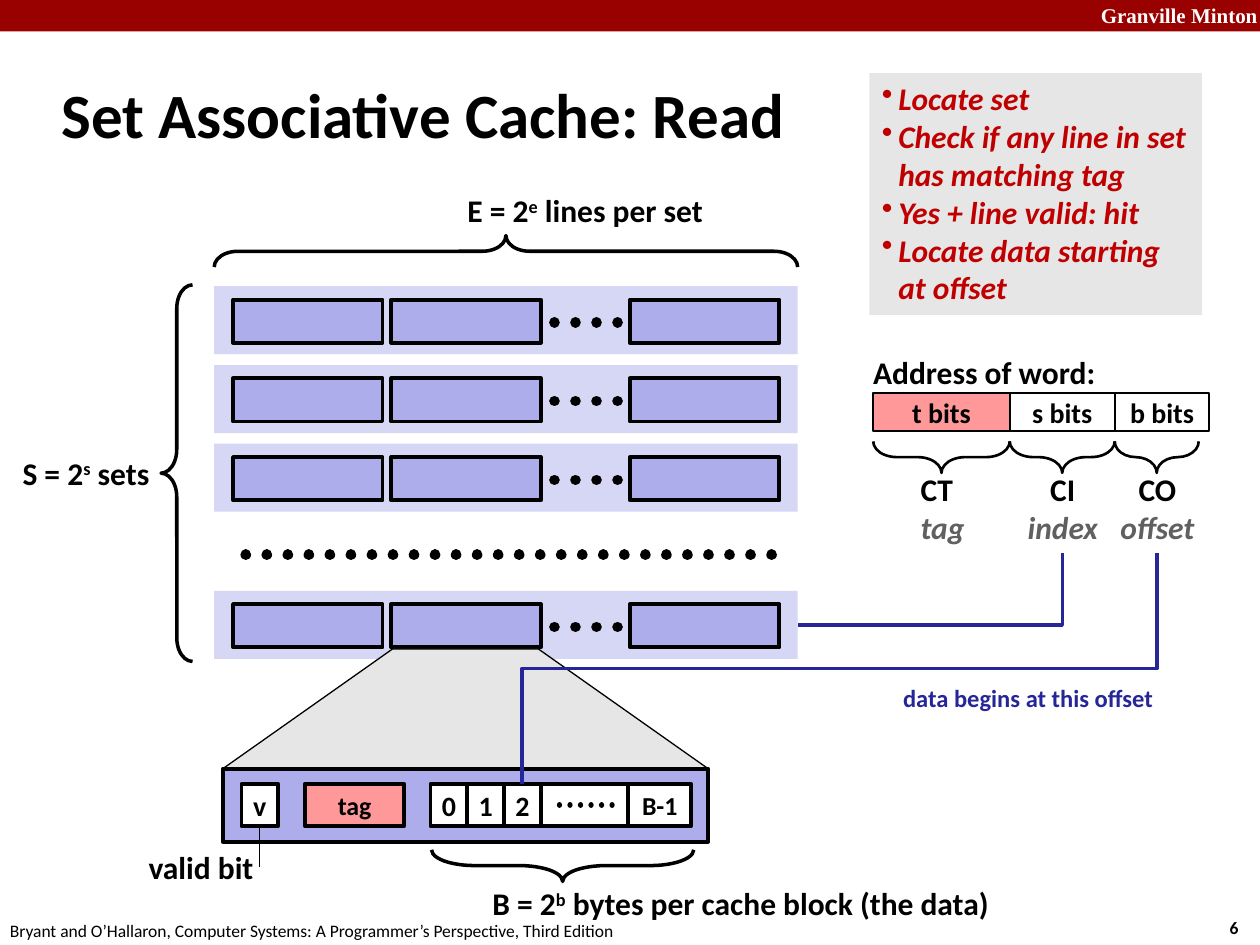
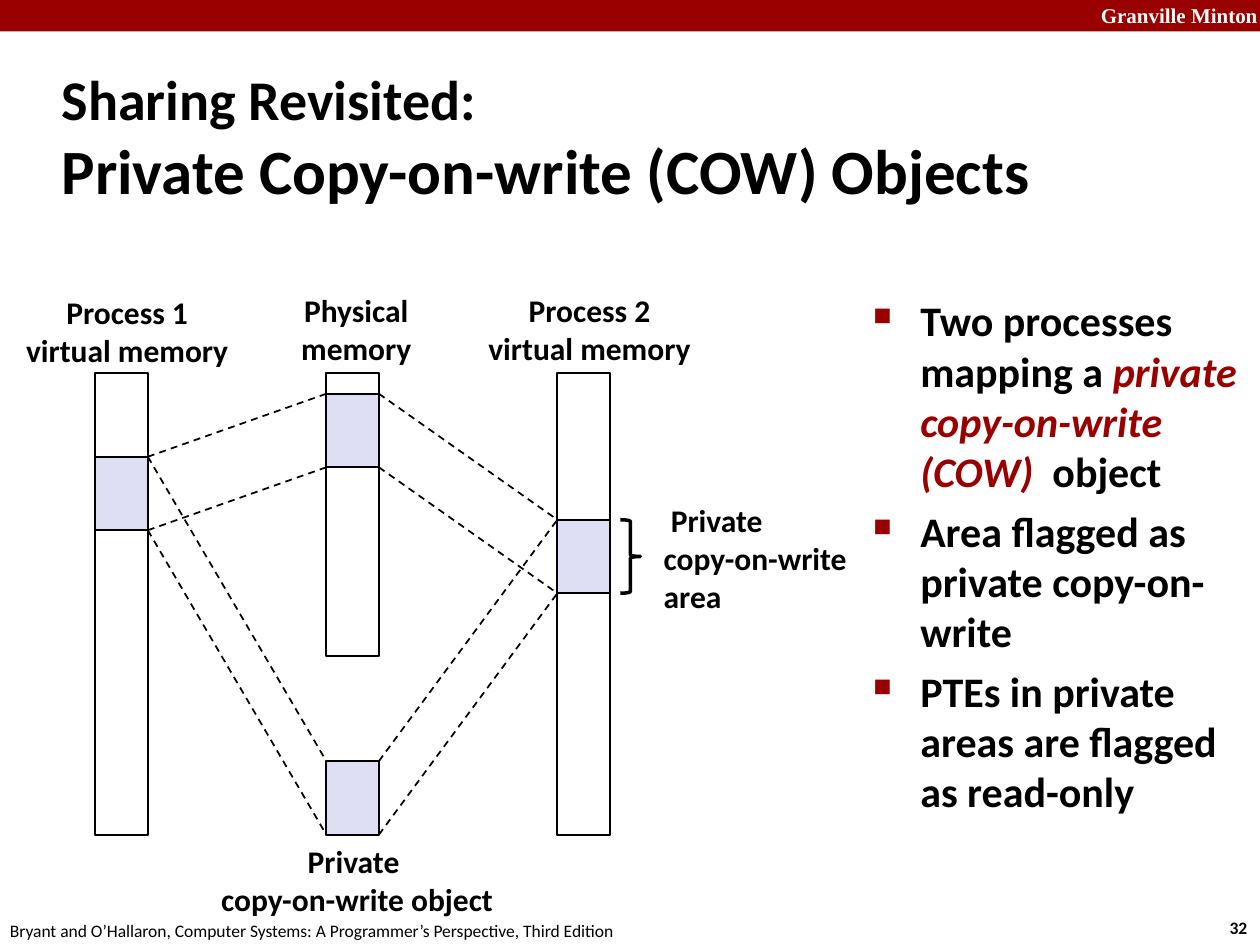
from copy import deepcopy

from lxml import etree
from pptx import Presentation
from pptx import util as u
from pptx.dml.color import RGBColor
from pptx.enum import dml, shapes, text
from pptx.oxml.ns import qn

Pt = u.Pt
SHAPE = shapes.MSO_SHAPE
ALIGN = text.PP_ALIGN
ANCHOR = text.MSO_ANCHOR
DASH = dml.MSO_LINE

# Colours
BLACK = RGBColor(0, 0, 0)
WHITE = RGBColor(0xFF, 0xFF, 0xFF)
BAND_RED = RGBColor(0x99, 0x00, 0x00)
NOTE_RED = RGBColor(0xC0, 0x00, 0x00)
TAG_PINK = RGBColor(0xFF, 0x99, 0x99)
SET_LILAC = RGBColor(0xD6, 0xD6, 0xF5)
LINE_LILAC = RGBColor(0xAD, 0xAD, 0xEB)
AREA_LILAC = RGBColor(0xDE, 0xDF, 0xF5)
PALE_GREY = RGBColor(0xE6, 0xE6, 0xE6)
DARK_GREY = RGBColor(0x60, 0x60, 0x60)
LINK_BLUE = RGBColor(0x26, 0x26, 0x99)

BASE_FONT = dict(name="Calibri", size=18, bold=True, color=BLACK)
CELL_FONT = dict(size=16)
SMALL_CELL_FONT = dict(size=14.8)
FIELD_FONT = dict(color=DARK_GREY, italic=True)
SUPER = dict(baseline="30000")
FOOTER = ("Bryant and O’Hallaron, Computer Systems: "
          "A Programmer’s Perspective, Third Edition")


# Text
def format_run(r, fmt):
    for key, value in {**BASE_FONT, **fmt}.items():
        if key == "color":
            r.font.color.rgb = value
        elif key == "baseline":
            r._r.get_or_add_rPr().set(key, value)
        else:
            setattr(r.font, key, Pt(value) if key == "size" else value)


def add_runs(p, runs, fmt):
    """Runs are strings or (string, format) pairs; a newline breaks the line."""
    for run in [runs] if isinstance(runs, str) else runs:
        words, extra = (run, {}) if isinstance(run, str) else run
        for i, line in enumerate(words.split("\n")):
            if i:
                p.add_line_break()
                p._p[-1].append(deepcopy(r._r.rPr))
            if line:
                r = p.add_run()
                r.text = line
                format_run(r, {**fmt, **extra})


def add_bullet(p, char, indent, color=None, percent=None):
    pPr = p._p.get_or_add_pPr()
    pPr.set("marL", str(Pt(indent)))
    pPr.set("indent", str(-Pt(indent)))
    if color:
        clr = etree.SubElement(pPr, qn("a:buClr"))
        etree.SubElement(clr, qn("a:srgbClr")).set("val", str(color))
    if percent:
        etree.SubElement(pPr, qn("a:buSzPct")).set("val", str(percent * 1000))
    etree.SubElement(pPr, qn("a:buChar")).set("char", char)


def fill_text(tf, paras, align=ALIGN.LEFT, anchor=ANCHOR.TOP, wrap=False,
              bullet=None, before=0, **fmt):
    frame = dict(word_wrap=wrap, vertical_anchor=anchor,
                 auto_size=text.MSO_AUTO_SIZE.NONE)
    for key, value in frame.items():
        setattr(tf, key, value)
    for i, runs in enumerate(paras):
        p = tf.add_paragraph() if i else tf.paragraphs[0]
        p.alignment = align
        p.space_before = Pt(before)
        if bullet:
            add_bullet(p, **bullet)
        add_runs(p, runs, fmt)


def label(s, x, y, w, h, *paras, **fmt):
    tb = s.shapes.add_textbox(Pt(x), Pt(y), Pt(w), Pt(h))
    fill_text(tb.text_frame, paras, **fmt)


# Shapes
def shape(s, kind, x, y, w, h, fill=None, line=0):
    sp = s.shapes.add_shape(kind, Pt(x), Pt(y), Pt(w), Pt(h))
    sp.shadow.inherit = False
    if fill is None:
        sp.fill.background()
    else:
        sp.fill.solid()
        sp.fill.fore_color.rgb = fill
    if line:
        sp.line.color.rgb = BLACK
        sp.line.width = Pt(line)
    else:
        sp.line.fill.background()
    return sp


def box(s, x, y, w, h, fill=None, line=0, words=None, **fmt):
    sp = shape(s, SHAPE.RECTANGLE, x, y, w, h, fill, line)
    if words:
        fill_text(sp.text_frame, [words], align=ALIGN.CENTER,
                  anchor=ANCHOR.MIDDLE, **fmt)
    return sp


def flat_brace(s, x, y, w, rotation, line=2, curl=0.75, depth=18):
    """A brace lying over or under a span: 90 points up, 270 points down."""
    sp = shape(s, SHAPE.LEFT_BRACE, x + (w - depth) / 2, y + (depth - w) / 2,
               depth, w, line=line)
    sp.rotation = rotation
    sp.adjustments[0] = curl


# Lines
def format_line(c, width, color, dash):
    c.line.color.rgb = color
    c.line.width = Pt(width)
    if dash:
        c.line.dash_style = dash
    if dash == DASH.ROUND_DOT:
        c._element.spPr.find(qn("a:ln")).set("cap", "rnd")
    etree.SubElement(c._element.spPr, qn("a:effectLst"))


def line(s, x1, y1, x2, y2, width=1, color=BLACK, dash=None):
    c = s.shapes.add_connector(shapes.MSO_CONNECTOR.STRAIGHT,
                               Pt(x1), Pt(y1), Pt(x2), Pt(y2))
    format_line(c, width, color, dash)
    return c


def dots(s, x1, x2, y, width=6):
    line(s, x1, y, x2, y, width, dash=DASH.ROUND_DOT)


def elbow_down_left(s, x1, y1, x2, y2, preset):
    """A bent connector that leaves downwards: a quarter-turned box."""
    w, h = y2 - y1, x1 - x2
    left, top = (x1 + x2 - w) / 2, (y1 + y2 - h) / 2
    c = s.shapes.add_connector(shapes.MSO_CONNECTOR.ELBOW, Pt(left), Pt(top),
                               Pt(left + w), Pt(top + h))
    spPr = c._element.spPr
    spPr.find(qn("a:xfrm")).set("rot", "5400000")
    spPr.find(qn("a:prstGeom")).set("prst", preset)
    format_line(c, 2, LINK_BLUE, None)


# Shared frame: band, footer, number, title
def new_slide(prs, number, title, title_height):
    s = prs.slides.add_slide(prs.slide_layouts[5])
    box(s, 0, 0, 720, 18, BAND_RED)
    label(s, 622, -2, 103, 21.6, "Granville Minton", name="Times New Roman",
          size=12, color=WHITE)
    label(s, 695.5, 520.6, 27, 19.4, number, size=10)
    label(s, -1.4, 522, 366, 19.4, FOOTER, size=10, bold=False)
    sp = s.shapes.title
    place = dict(left=28, top=34.6, width=597.6, height=title_height)
    for key, value in place.items():
        setattr(sp, key, Pt(value))
    fill_text(sp.text_frame, [title], anchor=ANCHOR.MIDDLE, wrap=True, size=36)
    return s


# Slide: set associative cache
def draw_sets(s):
    flat_brace(s, 122.4, 134.6, 333.4, 90)
    label(s, 260, 105.8, 154, 28.8,
          ["E = 2", ("e", SUPER), " lines per set"])
    sets_brace = shape(s, SHAPE.LEFT_BRACE, 92, 162.8, 18, 215.2, line=2)
    sets_brace.adjustments[0] = 0.75
    label(s, 5.8, 255.8, 88.6, 28.8, ["S = 2", ("s", SUPER), " sets"])
    for y in (163.6, 208.6, 253.6, 337.6):
        box(s, 122.4, y, 333.4, 38.9, SET_LILAC)
        for x in (133.2, 223.6, 360):
            box(s, x, y + 7.6, 85.4, 24.7, LINE_LILAC, 2.25)
        dots(s, 316.8, 360.7, y + 20.6)
    dots(s, 140.4, 445.7, 317)


def draw_cache_line(s):
    zoom = shape(s, SHAPE.TRAPEZOID, 127.4, 370.8, 277.2, 68.4, PALE_GREY, 0.75)
    zoom.adjustments[0] = 1.418
    box(s, 127.4, 439.2, 277.2, 41.8, LINE_LILAC, 2.25)
    top, height, x = 448, 24, 246
    cells = [(21, "0", CELL_FONT), (21, "1", CELL_FONT), (21, "2", CELL_FONT),
             (50, None, {}), (36, "B-1", SMALL_CELL_FONT)]
    for w, words, fmt in cells:
        box(s, x, top, w, height, WHITE, 2.25, words, **fmt)
        x += w
    dots(s, 319.7, 355.7, 460, 3)
    box(s, 174.2, top, 56.9, height, TAG_PINK, 2.25, "tag", **SMALL_CELL_FONT)
    valid = box(s, 138, top, 21, height, WHITE, 2.25, "v", **CELL_FONT)
    label(s, 77.8, 481, 74.9, 28.8, "valid bit")
    line(s, 148.5, 495.4, 148.5, 472, 0.75).end_connect(valid, 2)
    flat_brace(s, 246.6, 485.6, 149.8, 270, curl=1.37)
    label(s, 274.3, 501.8, 301.7, 28.8,
          ["B = 2", ("b", SUPER), " bytes per cache block (the data)"])


def draw_address(s):
    label(s, 491.8, 198, 142.6, 28.8, "Address of word:")
    # left, width, brace width, fill, bits
    fields = [(499, 78, 78, TAG_PINK, "t bits"),
              (577, 60, 60, WHITE, "s bits"),
              (637, 54, 48, WHITE, "b bits")]
    for x, w, span, fill, bits in fields:
        box(s, x, 224.6, w, 21.6, fill, 1, bits, **CELL_FONT)
        flat_brace(s, x, 252.2, span, 270, 1.5)
    names = [(519, 39.6, "CT", "tag", ALIGN.LEFT),
             (579.6, 55.4, "CI", "index", ALIGN.CENTER),
             (632.2, 58.3, "CO", "offset", ALIGN.CENTER)]
    for x, w, short, meaning, align in names:
        label(s, x, 265, w, 51, [short + "\n", (meaning, FIELD_FONT)],
              align=align)
    elbow_down_left(s, 607, 316, 455.8, 357.2, "bentConnector2")
    elbow_down_left(s, 661, 316, 298.2, 448, "bentConnector3")
    label(s, 509, 386.6, 158.4, 24.5, "data begins at this offset",
          size=14, color=LINK_BLUE)


def cache_slide(prs):
    s = new_slide(prs, "6", "Set Associative Cache: Read", 59.8)
    draw_sets(s)
    draw_cache_line(s)
    draw_address(s)
    steps = box(s, 496.8, 41.8, 190, 138.2, PALE_GREY)
    fill_text(steps.text_frame,
              ["Locate set", "Check if any line in set\nhas matching tag",
               "Yes + line valid: hit", "Locate data starting\nat offset"],
              bullet=dict(char="•", indent=9.4), color=NOTE_RED, italic=True)


# Slide: private copy-on-write
def cow_slide(prs):
    s = new_slide(prs, "32", [("Sharing Revisited: \n", dict(size=32)),
                              "Private Copy-on-write (COW) Objects"], 85.7)
    label(s, 491.8, 164.9, 228.2, 329.8,
          ["Two processes mapping a ",
           ("private copy-on-write (COW)  ", dict(color=BAND_RED, italic=True)),
           "object"],
          "Area flagged as private copy-on-write",
          "PTEs in private areas are flagged as read-only",
          wrap=True, size=24, before=5,
          bullet=dict(char="■", indent=27, color=BAND_RED, percent=60))

    # Memory columns and their shared areas
    process1, physical, process2 = (54.5 + 132 * i for i in range(3))
    col_w, area_h, top = 30, 42, 213
    for x, h in ((physical, 162), (process1, 264), (process2, 264)):
        box(s, x, top, col_w, h, line=1)
    area1, mapped, area2, private = 261, 225, 297, 435
    for x, y in ((physical, private), (physical, mapped),
                 (process1, area1), (process2, area2)):
        box(s, x, y, col_w, area_h, AREA_LILAC, 1)

    # Mappings, from the top and bottom edge of each area
    for y in (private, mapped):
        for dy in (0, area_h):
            line(s, process1 + col_w, area1 + dy, physical, y + dy,
                 dash=DASH.DASH)
            line(s, physical + col_w, y + dy, process2, area2 + dy,
                 dash=DASH.DASH)

    # Labels
    for x, y, w, paras in (
            (7.2, 163.6, 131, ("Process 1", "virtual memory")),
            (164.7, 162.6, 77.8, ("Physical", "memory")),
            (271.4, 162.6, 131, ("Process 2", "virtual memory")),
            (118.8, 477.2, 170.6, ("Private ", "copy-on-write object"))):
        label(s, x, y, w, 51, *paras, align=ALIGN.CENTER, anchor=ANCHOR.MIDDLE)
    label(s, 372.2, 282.4, 119.5, 72.7, " Private", "copy-on-write", "area",
          anchor=ANCHOR.MIDDLE)
    shape(s, SHAPE.RIGHT_BRACE, 354.5, area2, 11.5, area_h, line=2)


def main():
    prs = Presentation()
    prs.slide_width, prs.slide_height = Pt(720), Pt(540)
    cache_slide(prs)
    cow_slide(prs)
    prs.save("out.pptx")


if __name__ == "__main__":
    main()
